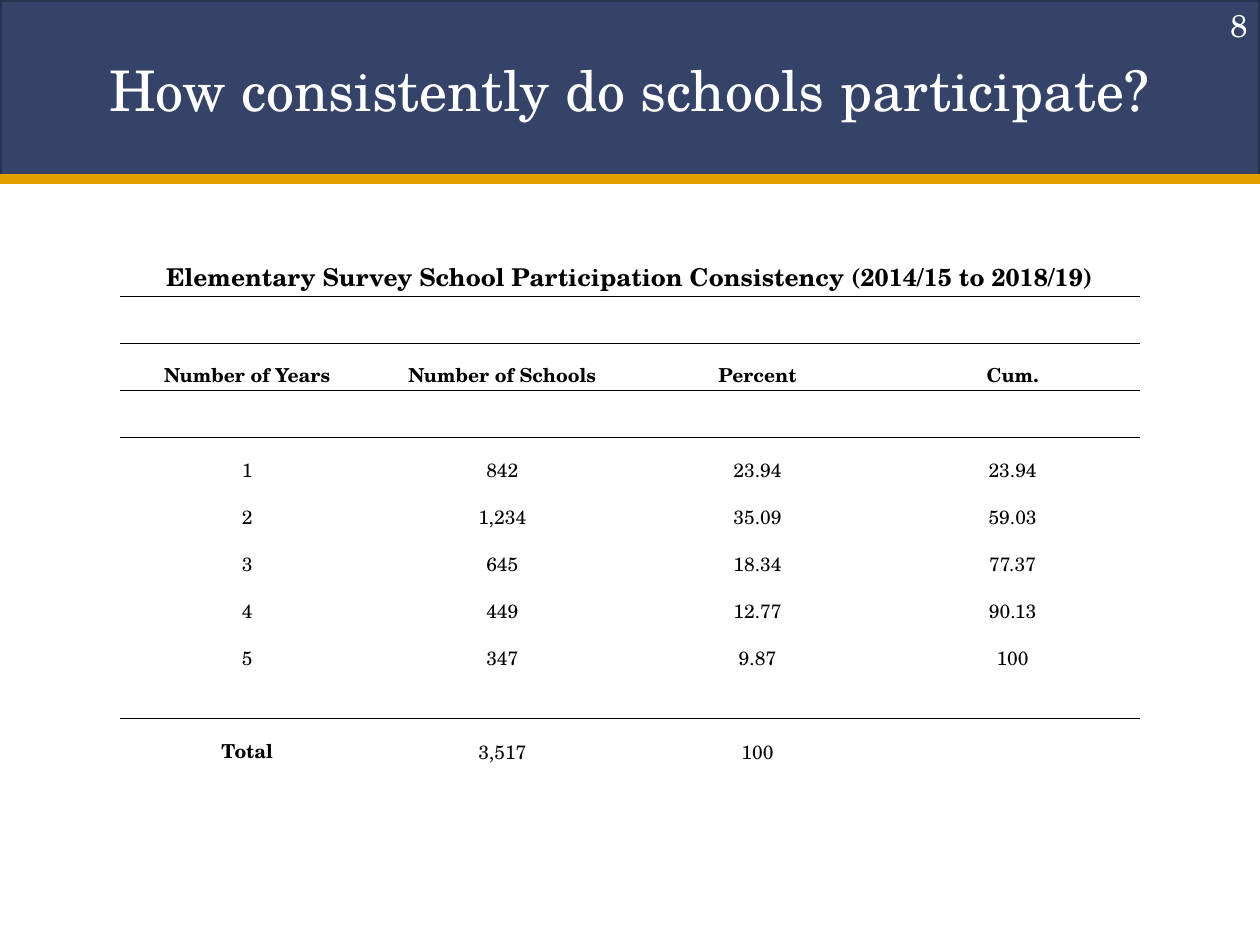
import pptx
import pptx.dml.color
import pptx.enum.shapes
import pptx.enum.text
import pptx.oxml
import pptx.oxml.ns
import pptx.util

Inches = pptx.util.Inches
Pt = pptx.util.Pt
ALIGN = pptx.enum.text.PP_ALIGN
ANCHOR = pptx.enum.text.MSO_ANCHOR

FONT = "TeX Gyre Schola"
COLORS = {"navy": "354369", "navy_edge": "27324E", "gold": "E2A100",
          "white": "FFFFFF", "black": "000000"}
PLAIN_TABLE_STYLE = "{2D5ABB26-0587-4C30-8999-92F81FD0307C}"
CELL_FORMAT = {"margin_left": Inches(0.01), "margin_right": Inches(0.01),
               "margin_top": Inches(0.01), "margin_bottom": 0,
               "vertical_anchor": ANCHOR.BOTTOM}

TABLE_TITLE = "Elementary Survey School Participation Consistency (2014/15 to 2018/19)"
HEADINGS = ["Number of Years", "Number of Schools", "Percent", "Cum."]
BLANK = [""] * 4
ROWS = [
    [TABLE_TITLE, "", "", ""],
    BLANK,
    HEADINGS,
    BLANK,
    ["1", "842", "23.94", "23.94"],
    ["2", "1,234", "35.09", "59.03"],
    ["3", "645", "18.34", "77.37"],
    ["4", "449", "12.77", "90.13"],
    ["5", "347", "9.87", "100"],
    BLANK,
    ["Total", "3,517", "100", ""],
]
RULED_ROWS = [0, 2, 9]


def color(name):
    """Return the named colour as an RGB value."""
    return pptx.dml.color.RGBColor.from_string(COLORS[name])


def set_format(target, values):
    """Set every attribute in a dict of format values."""
    for name, value in values.items():
        setattr(target, name, value)


def write(para, text, align, size, shade, bold=False):
    """Fill one paragraph with a formatted span."""
    para.alignment = align
    span = para.add_run()
    span.text = text
    set_format(span.font, {"name": FONT, "size": Pt(size), "bold": bold})
    span.font.color.rgb = color(shade)


def add_text(page, place, text, align, size):
    """Add a white, vertically centred text box."""
    box = page.shapes.add_textbox(*map(Inches, place))
    set_format(box.text_frame, {"word_wrap": True, "vertical_anchor": ANCHOR.MIDDLE})
    write(box.text_frame.paragraphs[0], text, align, size, "white")


def add_banner(page):
    """Add the navy header band and the gold line below it."""
    band = page.shapes.add_shape(pptx.enum.shapes.MSO_SHAPE.RECTANGLE,
                                 0, 0, Inches(10), Inches(1.42))
    band.shadow.inherit = False
    band.fill.solid()
    band.fill.fore_color.rgb = color("navy")
    band.line.color.rgb = color("navy_edge")
    band.line.width = Pt(2)
    rule = page.shapes.add_connector(
        pptx.enum.shapes.MSO_CONNECTOR.STRAIGHT,
        Inches(-0.02), Inches(1.42), Inches(10.03), Inches(1.42))
    rule.line.color.rgb = color("gold")
    rule.line.width = Pt(6)
    effects = pptx.oxml.parse_xml(
        f"<a:effectLst {pptx.oxml.ns.nsdecls('a')}/>")
    rule.element.spPr.append(effects)


def add_border(cell, side):
    """Draw a thin black border on the side lnT or lnB of a cell."""
    border = pptx.oxml.parse_xml(
        f"<a:{side} {pptx.oxml.ns.nsdecls('a')} w='{Pt(0.5)}'><a:solidFill>"
        f"<a:srgbClr val='{COLORS['black']}'/></a:solidFill></a:{side}>")
    cell.fill.background()
    cell._tc.get_or_add_tcPr().insert(0, border)


def add_participation_table(page):
    """Add the table of schools by number of years."""
    height, title_height = 4.25, 0.52
    frame = page.shapes.add_table(len(ROWS), len(HEADINGS), Inches(0.95),
                                  Inches(1.83), Inches(8.1), Inches(height))
    table = frame.table
    set_format(table, {"first_row": False, "horz_banding": False})
    for style in frame.element.iter(pptx.oxml.ns.qn("a:tableStyleId")):
        style.text = PLAIN_TABLE_STYLE
    row_height = (height - title_height) / (len(ROWS) - 1)
    for r, values in enumerate(ROWS):
        table.rows[r].height = Inches(row_height if r else title_height)
        for c, text in enumerate(values):
            cell = table.cell(r, c)
            set_format(cell, CELL_FORMAT)
            cell.fill.background()
            if text:
                write(cell.text_frame.paragraphs[0], text, ALIGN.CENTER,
                      11 if r else 14, "black", r < 3 or text == "Total")
            if r in RULED_ROWS:
                add_border(cell, "lnB")
            if r - 1 in RULED_ROWS:
                add_border(cell, "lnT")
    table.cell(0, 0).merge(table.cell(0, len(HEADINGS) - 1))


def main():
    """Build the slide and save it."""
    deck = pptx.Presentation()
    set_format(deck, {"slide_width": Inches(10), "slide_height": Inches(7.5)})
    page = deck.slides.add_slide(deck.slide_layouts[6])
    add_banner(page)
    add_text(page, (0.5, 0.08, 9, 1.25),
             "How consistently do schools participate?", ALIGN.CENTER, 32)
    add_participation_table(page)
    add_text(page, (7.67, 0, 2.33, 0.4), "8", ALIGN.RIGHT, 18)
    deck.save("out.pptx")


main()
